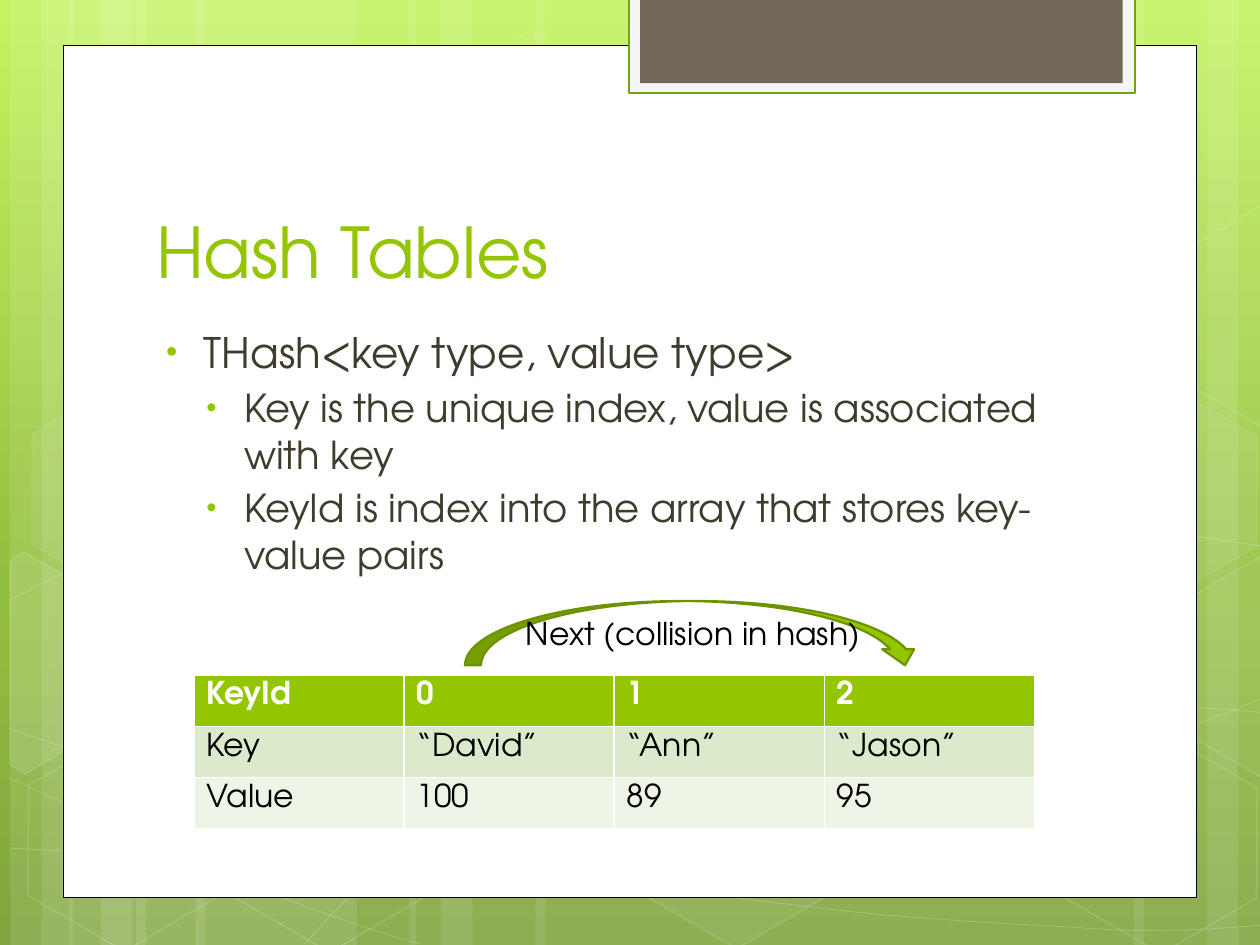
from copy import deepcopy
from math import cos, radians, sin
from typing import NamedTuple, Optional

from pptx import Presentation
from pptx.dml.color import RGBColor
from pptx.enum.shapes import MSO_SHAPE as Shape
from pptx.enum.text import MSO_ANCHOR as Anchor, PP_ALIGN as Align
from pptx.oxml.ns import qn
from pptx.oxml.xmlchemy import OxmlElement as make_element
from pptx.util import Inches, Pt

FONT = "TeX Gyre Adventor"
TILT = 30
COLORS = {
    "white": "FFFFFF", "black": "000000", "green": "94C600", "arrow edge": "6D9200",
    "tab edge": "74A510", "tab frame": "F5F5F5", "tab": "71685A", "body": "3E3D2D",
    "row 1": "DCEACC", "row 2": "EEF5E7",
    "sky": "C3F35F", "leaf": "93BF3F", "moss": "81A53E",
}
BACKGROUND = [("sky", 0), ("leaf", 0.62), ("moss", 1)]


class Paint(NamedTuple):
    color: str
    opacity: int = 100
    width: float = 0


class Hexagon(NamedTuple):
    left: float
    top: float
    fill: int
    edge: int = 12


class Cutoff(NamedTuple):
    """A tilted hexagon that the slide edge cuts off."""
    center: tuple
    points: list
    fill: int


class Bullet(NamedTuple):
    text: str
    level: int
    size: int
    indent: float


BARS = [(1.08, 1.75), (0.08, 0.5), (0.33, 0.83), (1.55, 1.75), (0.55, 0.5), (0.8, 0.83),
        (7.33, 1.75), (9.58, 0.5), (9, 0.83), (4.25, 3.08), (3.25, 0.5), (3.5, 0.83)]

# Each wave is a start point followed by cubic segments: two controls and an end.
WAVES = [
    [(0.07, 6.73), (0.61, 6.76), (1.15, 6.79), (1.9, 6.78), (2.65, 6.77), (3.58, 6.75),
     (4.58, 6.65), (5.58, 6.55), (7, 6.36), (7.92, 6.17), (8.83, 5.98), (9.77, 5.68),
     (10.07, 5.51)],
    [(0.07, 4.77), (0.36, 4.61), (0.65, 4.46), (1.21, 4.31), (1.78, 4.16), (2.59, 3.94),
     (3.47, 3.87), (4.36, 3.8), (5.44, 3.79), (6.54, 3.87), (7.64, 3.95), (9.47, 4.26),
     (10.07, 4.34)],
    [(0.06, 6.17), (1.27, 6.72), (2.47, 7.27), (3.34, 7.49)],
    [(0.07, 5.78), (0.38, 5.89), (0.7, 6), (1.28, 6.16), (1.86, 6.31), (2.73, 6.56),
     (3.57, 6.73), (4.4, 6.9), (5.45, 7.08), (6.28, 7.18), (7.11, 7.29), (8, 7.33),
     (8.53, 7.36), (9.05, 7.4), (9.19, 7.38), (9.45, 7.38), (9.71, 7.37), (9.89, 7.35),
     (10.07, 7.34)],
    [(2.42, 7.49), (2.6, 7.29), (2.78, 7.09), (3.02, 6.91), (3.26, 6.73), (3.6, 6.53),
     (3.88, 6.39), (4.16, 6.25), (4.33, 6.19), (4.7, 6.09), (5.06, 5.99), (5.73, 5.85),
     (6.08, 5.78), (6.44, 5.71), (6.49, 5.71), (6.8, 5.69), (7.11, 5.66), (7.6, 5.63),
     (7.94, 5.62), (8.29, 5.61), (8.86, 5.62), (8.86, 5.62), (8.86, 5.62), (9.53, 5.62),
     (9.53, 5.62), (9.71, 5.63), (9.88, 5.64), (9.97, 5.65), (10.06, 5.66), (10.03, 5.65),
     (10.06, 5.66)],
]

HEXAGONS = [
    Hexagon(3.34, 0.36, 4, 8), Hexagon(4.97, 5.89, 6), Hexagon(0.11, 5.91, 0),
    Hexagon(0.14, 3.12, 7, 8), Hexagon(1.74, 5.92, 0), Hexagon(7.53, 4.53, 10),
    Hexagon(8.34, 5.93, 0), Hexagon(8.34, 3.14, 7, 8),
]
CUTOFFS = [
    Cutoff((0.36, 5.35), [(0.08, 4.45), (0.19, 4.38), (0.96, 4.82), (0.95, 5.7),
                          (0.2, 6.14), (0.08, 6.07)], 10),
    Cutoff((9.85, 5.2), [(9.26, 4.85), (10.01, 4.41), (10.09, 4.46), (10.09, 6.13),
                         (10.02, 6.17), (9.26, 5.73)], 4),
    Cutoff((9.85, 2.41), [(9.26, 2.07), (10.01, 1.63), (10.1, 1.68), (10.09, 3.35),
                          (10.02, 3.39), (9.26, 2.95)], 0),
]
BULLETS = [
    Bullet("THash<key type, value type>", 0, 24, 0.38),
    Bullet("Key is the unique index, value is associated with key", 1, 22, 0.7),
    Bullet("KeyId is index into the array that stores key-value pairs", 1, 22, 0.7),
]
ROWS = [("KeyId", "0", "1", "2"), ("Key", "“David”", "“Ann”", "“Jason”"),
        ("Value", "100", "89", "95")]
ROW_FILLS = ["green", "row 1", "row 2"]


def rgb(name: str) -> RGBColor:
    return RGBColor.from_string(COLORS[name])


def add_child(parent, tag: str, **attributes):
    child = make_element(tag)
    for name, value in attributes.items():
        child.set(name, str(value))
    parent.append(child)
    return child


def paint(shape, fill: Optional[Paint] = None, edge: Optional[Paint] = None) -> None:
    shape.shadow.inherit = False
    for target, tag, style in ((shape.fill, "a:solidFill", fill),
                               (shape.line.fill, "a:ln/a:solidFill", edge)):
        if not style or not style.opacity:
            target.background()
            continue
        target.solid()
        target.fore_color.rgb = rgb(style.color)
        if style.width:
            shape.line.width = Pt(style.width)
        if style.opacity < 100:
            steps = [qn(step) for step in (tag + "/a:srgbClr").split("/")]
            add_child(shape.element.spPr.find("/".join(steps)), "a:alpha",
                      val=style.opacity * 1000)


def add_preset(page, kind, box: tuple, fill=None, edge=None):
    shape = page.shapes.add_shape(kind, *map(Inches, box))
    paint(shape, fill, edge)
    return shape


def add_outline(page, points: list, closed: bool, fill=None, edge=None):
    corners = [(Inches(x), Inches(y)) for x, y in points]
    builder = page.shapes.build_freeform(*corners[0])
    builder.add_line_segments(corners[1:], close=closed)
    shape = builder.convert_to_shape()
    paint(shape, fill, edge)
    return shape


def bend(shape) -> None:
    """Turn every three straight segments into one cubic segment."""
    lines = list(shape.element.iter(qn("a:lnTo")))
    for first in range(0, len(lines), 3):
        curve = make_element("a:cubicBezTo")
        lines[first].addprevious(curve)
        for line in lines[first:first + 3]:
            curve.append(line[0])
            line.getparent().remove(line)


def untilt(point: tuple, center: tuple) -> tuple:
    """Turn a point back about the center, so that the shape can be rotated."""
    x, y = point[0] - center[0], point[1] - center[1]
    cosine, sine = cos(radians(TILT)), sin(radians(TILT))
    return center[0] + x * cosine + y * sine, center[1] - x * sine + y * cosine


def write(para, text: str, size: float, color: str, bold: bool = False) -> None:
    span = para.add_run()
    span.text = text
    for name, value in {"name": FONT, "size": Pt(size), "bold": bold}.items():
        setattr(span.font, name, value)
    span.font.color.rgb = rgb(color)


def add_text_frame(page, box: tuple, anchor):
    frame = page.shapes.add_textbox(*map(Inches, box)).text_frame
    frame.word_wrap = True
    frame.vertical_anchor = anchor
    return frame


def add_bullet(para, bullet: Bullet) -> None:
    para.level = bullet.level
    para.space_before = Pt(bullet.size * 0.2)
    props = para._p.get_or_add_pPr()
    props.set("marL", str(Inches(bullet.indent)))
    props.set("indent", str(Inches(-0.3)))
    add_child(add_child(props, "a:buClr"), "a:srgbClr", val=COLORS["green"])
    add_child(props, "a:buSzPct", val=76000)
    add_child(props, "a:buFont", typeface="Arial")
    add_child(props, "a:buChar", char="•")
    write(para, bullet.text, bullet.size, "body")


def add_hash_table(page) -> None:
    box = map(Inches, (1.54, 5.36, 6.67, 1.22))
    table = page.shapes.add_table(len(ROWS), len(ROWS[0]), *box).table
    for row, texts in enumerate(ROWS):
        header = row == 0
        for column, text in enumerate(texts):
            cell = table.cell(row, column)
            cell.fill.solid()
            cell.fill.fore_color.rgb = rgb(ROW_FILLS[row])
            write(cell.text_frame.paragraphs[0], text, 18,
                  "white" if header else "black", header)


def paint_background(page) -> None:
    fill = page.background.fill
    fill.gradient()
    fill.gradient_angle = 270
    stop_list = page.element.find(".//" + qn("a:gsLst"))
    stop_list.append(deepcopy(stop_list[-1]))
    for stop, (color, position) in zip(fill.gradient_stops, BACKGROUND):
        stop.color.rgb = rgb(color)
        stop.position = position


def draw_backdrop(page) -> None:
    paint_background(page)
    for left, width in BARS:
        add_preset(page, Shape.RECTANGLE, (left, 0, width, 7.5), Paint("white", 10))
    for knots in WAVES:
        bend(add_outline(page, knots, False, edge=Paint("white", 20, 0.5)))
    for item in HEXAGONS:
        hexagon = add_preset(page, Shape.HEXAGON, (item.left, item.top, 1.75, 1.52),
                             Paint("white", item.fill), Paint("white", item.edge, 1))
        hexagon.rotation = TILT
        hexagon.adjustments[0], hexagon.adjustments[1] = 0.285, 1.155
    for item in CUTOFFS:
        points = [untilt(point, item.center) for point in item.points]
        cutoff = add_outline(page, points, True, Paint("white", item.fill),
                             Paint("white", 12, 1))
        cutoff.rotation = TILT
    for box, fill, edge in (
            ((0.5, 0.36, 9, 6.76), Paint("white"), Paint("black", width=0.5)),
            ((4.99, -0.02, 4.02, 0.76), Paint("tab frame"), Paint("tab edge", width=1.25)),
            ((5.08, -0.02, 3.83, 0.68), Paint("tab"), None)):
        add_preset(page, Shape.RECTANGLE, box, fill, edge)


def draw_content(page) -> None:
    title = add_text_frame(page, (1.14, 1.12, 7.68, 1.25), Anchor.BOTTOM)
    write(title.paragraphs[0], "Hash Tables", 40, "green")
    body = add_text_frame(page, (1.14, 2.54, 7.8, 4.28), Anchor.TOP)
    for index, bullet in enumerate(BULLETS):
        add_bullet(body.add_paragraph() if index else body.paragraphs[0], bullet)
    add_hash_table(page)
    arrow = add_preset(page, Shape.CURVED_DOWN_ARROW, (3.69, 4.77, 3.62, 0.51),
                       Paint("green"), Paint("arrow edge", width=1.25))
    arrow.text_frame.vertical_anchor = Anchor.MIDDLE
    label = arrow.text_frame.paragraphs[0]
    label.alignment = Align.CENTER
    write(label, "Next (collision in hash)", 18, "black")


deck = Presentation()
deck.slide_width, deck.slide_height = Inches(10), Inches(7.5)
slide = deck.slides.add_slide(deck.slide_layouts[6])
draw_backdrop(slide)
draw_content(slide)
deck.save("out.pptx")
